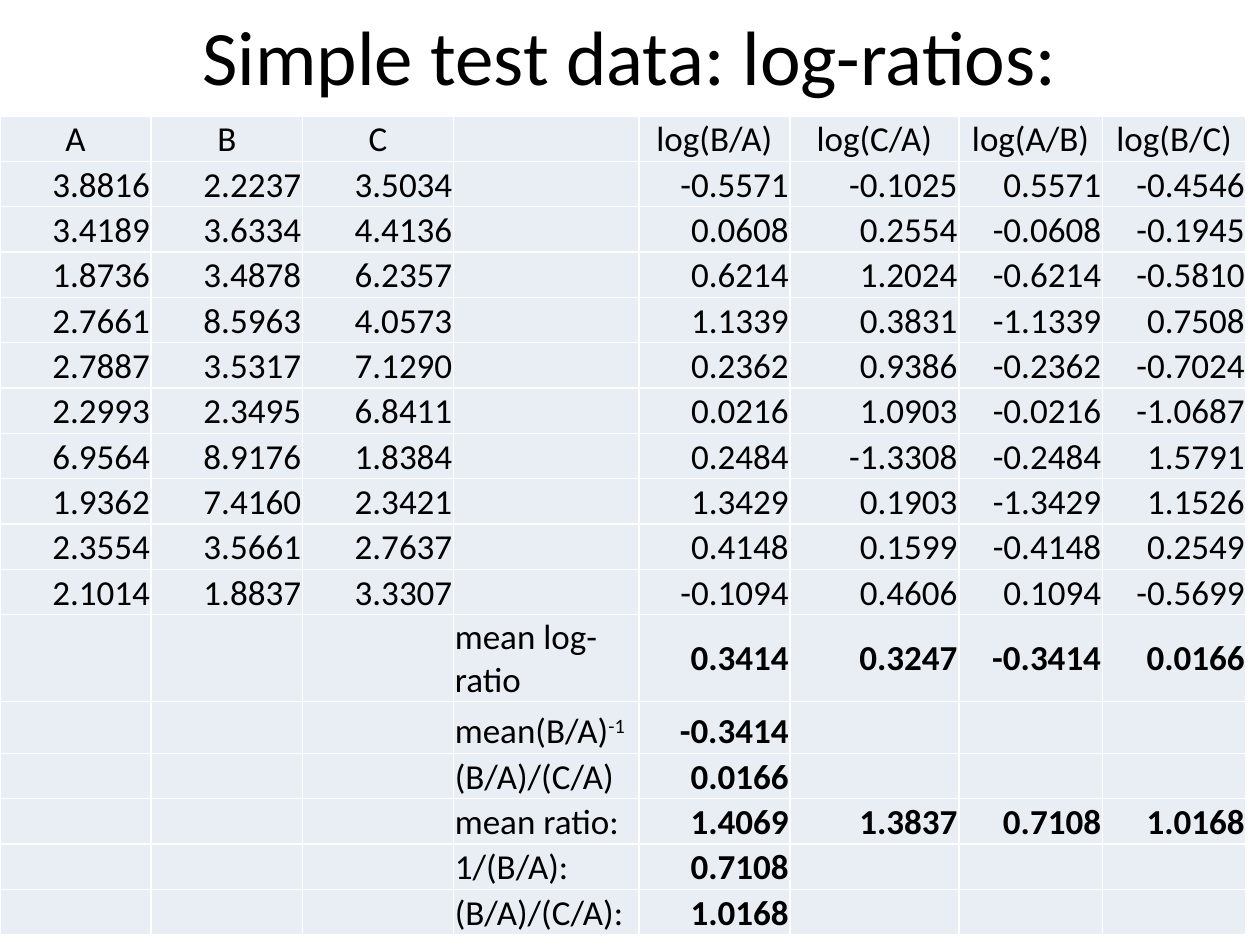
from itertools import accumulate

from pptx import Presentation
from pptx.dml.color import RGBColor
from pptx.enum.text import MSO_ANCHOR, PP_ALIGN
from pptx.util import Inches, Pt

TITLE = "Simple test data: log-ratios:"
HEADINGS = ["A", "B", "C", "", "log(B/A)", "log(C/A)", "log(A/B)", "log(B/C)"]
SAMPLES = [
    ["3.8816", "2.2237", "3.5034", "", "-0.5571", "-0.1025", "0.5571", "-0.4546"],
    ["3.4189", "3.6334", "4.4136", "", "0.0608", "0.2554", "-0.0608", "-0.1945"],
    ["1.8736", "3.4878", "6.2357", "", "0.6214", "1.2024", "-0.6214", "-0.5810"],
    ["2.7661", "8.5963", "4.0573", "", "1.1339", "0.3831", "-1.1339", "0.7508"],
    ["2.7887", "3.5317", "7.1290", "", "0.2362", "0.9386", "-0.2362", "-0.7024"],
    ["2.2993", "2.3495", "6.8411", "", "0.0216", "1.0903", "-0.0216", "-1.0687"],
    ["6.9564", "8.9176", "1.8384", "", "0.2484", "-1.3308", "-0.2484", "1.5791"],
    ["1.9362", "7.4160", "2.3421", "", "1.3429", "0.1903", "-1.3429", "1.1526"],
    ["2.3554", "3.5661", "2.7637", "", "0.4148", "0.1599", "-0.4148", "0.2549"],
    ["2.1014", "1.8837", "3.3307", "", "-0.1094", "0.4606", "0.1094", "-0.5699"],
]
SUMMARIES = [
    ("mean log-ratio", "", ["0.3414", "0.3247", "-0.3414", "0.0166"]),
    ("mean(B/A)", "-1", ["-0.3414"]),
    ("(B/A)/(C/A)", "", ["0.0166"]),
    ("mean ratio:", "", ["1.4069", "1.3837", "0.7108", "1.0168"]),
    ("1/(B/A):", "", ["0.7108"]),
    ("(B/A)/(C/A):", "", ["1.0168"]),
]
COLORS = {"text": "000000", "cell": "E9EDF4"}
FONT = "Calibri"
COLUMN_WIDTHS = [1.2, 1.2, 1.2, 1.47, 1.2, 1.34, 1.14, 1.14]
ROW_HEIGHT, SUPERSCRIPT_ROW_HEIGHT = 0.36, 0.41
TABLE_TOP = 0.92
LABEL_COLUMN = HEADINGS.index("")
FIRST_SUMMARY = 1 + len(SAMPLES)


def add_run(paragraph, text, size, bold=False):
    run = paragraph.add_run()
    run.text = text
    run.font.name = FONT
    run.font.size = Pt(size)
    run.font.bold = bold
    run.font.color.rgb = RGBColor.from_string(COLORS["text"])
    return run


def write(cell, text, align, bold=False):
    paragraph = cell.text_frame.paragraphs[0]
    paragraph.alignment = align
    if text:
        add_run(paragraph, text, 20, bold)
    return paragraph


def main():
    deck = Presentation()
    deck.slide_width, deck.slide_height = Inches(10), Inches(7.5)
    slide = deck.slides.add_slide(deck.slide_layouts[5])

    title = slide.shapes.title
    title.left, title.top = Inches(0.5), Inches(-0.19)
    title.width, title.height = Inches(9), Inches(1.25)
    title.text_frame.vertical_anchor = MSO_ANCHOR.MIDDLE
    heading = title.text_frame.paragraphs[0]
    heading.alignment = PP_ALIGN.CENTER
    add_run(heading, TITLE, 44)

    heights = [ROW_HEIGHT] * FIRST_SUMMARY + [
        SUPERSCRIPT_ROW_HEIGHT if power else ROW_HEIGHT for _, power, _ in SUMMARIES
    ]
    *_, table_width = accumulate(COLUMN_WIDTHS)
    *_, table_height = accumulate(heights)
    table = slide.shapes.add_table(
        len(heights), len(COLUMN_WIDTHS), 0, Inches(TABLE_TOP),
        Inches(table_width), Inches(table_height),
    ).table
    table.first_row = table.horz_banding = False
    for column, width in zip(table.columns, COLUMN_WIDTHS):
        column.width = Inches(width)
    for row, height in zip(table.rows, heights):
        row.height = Inches(height)
    for cell in table.iter_cells():
        cell.fill.solid()
        cell.fill.fore_color.rgb = RGBColor.from_string(COLORS["cell"])
        cell.margin_left = cell.margin_right = cell.margin_top = Inches(0.01)
        cell.margin_bottom = 0
        cell.vertical_anchor = MSO_ANCHOR.BOTTOM

    for r, values in enumerate([HEADINGS] + SAMPLES):
        for c, value in enumerate(values):
            write(table.cell(r, c), value, PP_ALIGN.RIGHT if r else PP_ALIGN.CENTER)

    for r, (label, power, values) in enumerate(SUMMARIES, FIRST_SUMMARY):
        caption = write(table.cell(r, LABEL_COLUMN), label, PP_ALIGN.LEFT)
        if power:
            exponent = add_run(caption, power, 20)
            exponent._r.get_or_add_rPr().set("baseline", "30000")
        for c, value in enumerate(values, LABEL_COLUMN + 1):
            cell = table.cell(r, c)
            write(cell, value, PP_ALIGN.RIGHT, bold=True)
            if r == FIRST_SUMMARY:
                cell.vertical_anchor = MSO_ANCHOR.MIDDLE

    deck.save("out.pptx")


if __name__ == "__main__":
    main()
